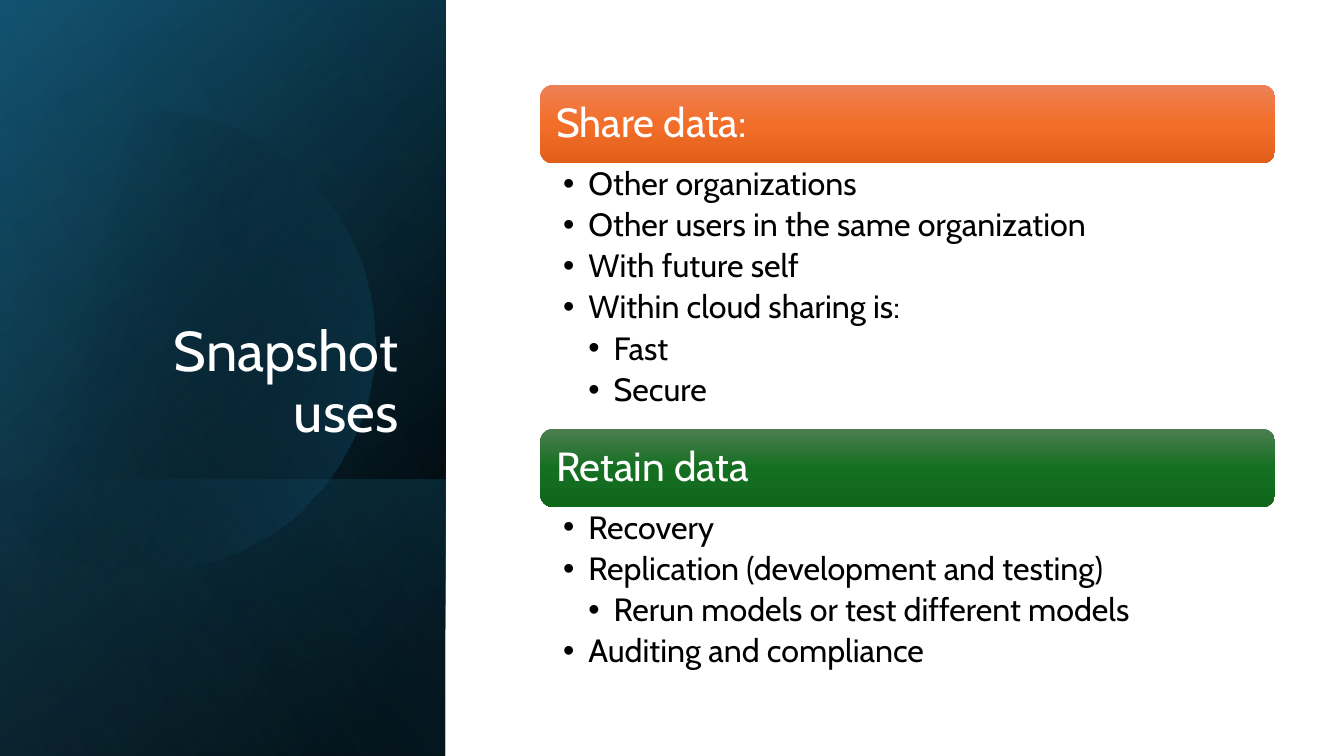
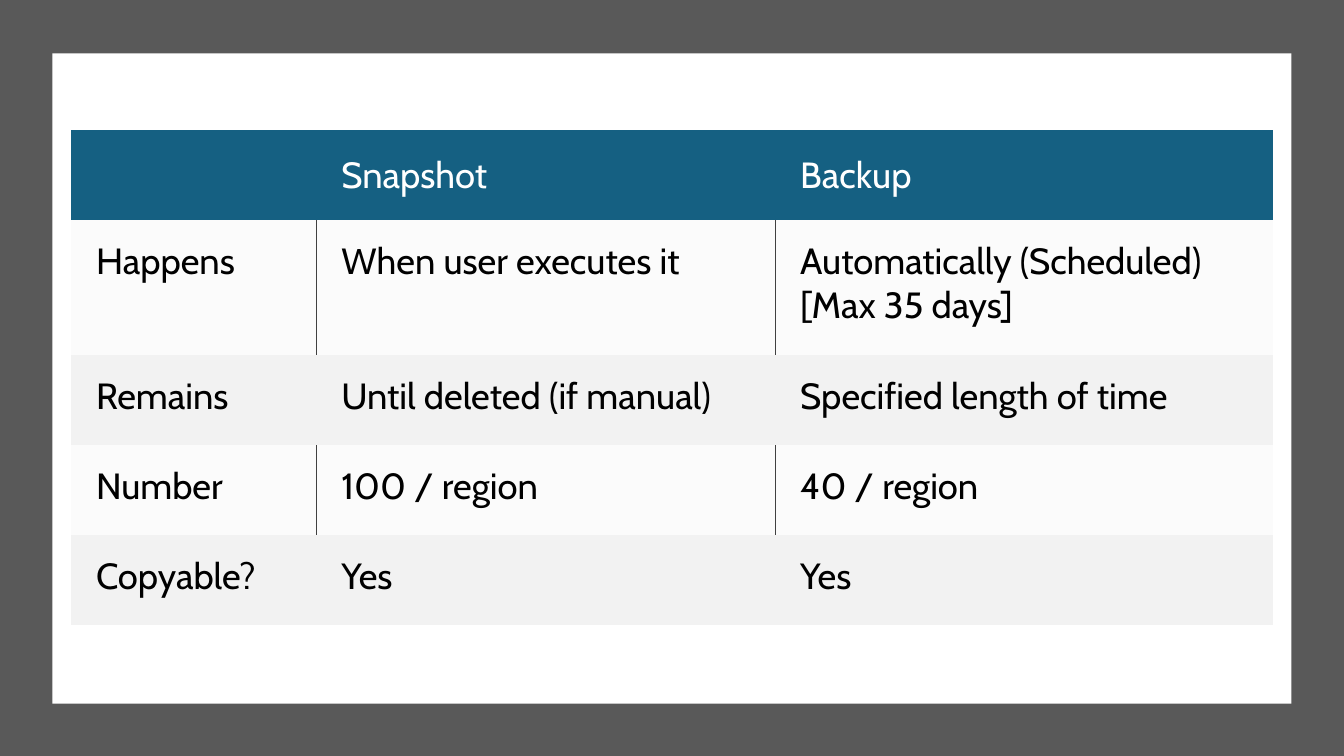
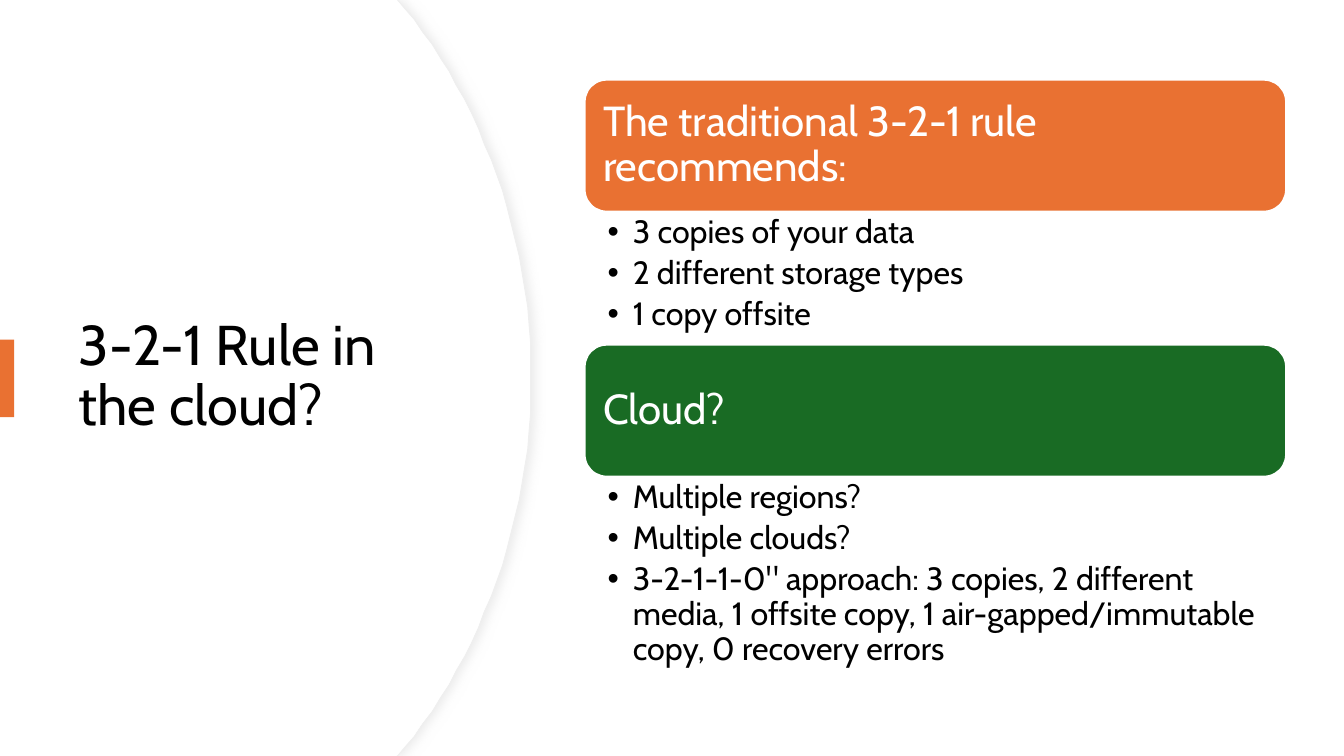
from lxml.etree import SubElement
from pptx import Presentation
from pptx.dml.color import RGBColor
from pptx.enum.shapes import MSO_SHAPE
from pptx.enum.text import MSO_ANCHOR, MSO_AUTO_SIZE, PP_ALIGN
from pptx.oxml import parse_xml
from pptx.oxml.ns import nsdecls, qn
from pptx.util import Pt

FONT = "Cabin"
WIDE, HIGH = 960, 540
PANEL = 318.2
INK = {
    "white": "FFFFFF", "black": "000000", "blue": "156082", "navy": "104862",
    "sky": "46B1E1", "orange": "E97132", "green": "196B24", "frame": "595959",
    "pale": "FBFBFB", "band": "F2F2F2", "rule": "404040", "edge": "EFEFEF",
    "shade": "D9D9D9", "orange1": "ED8257", "orange2": "F26E29",
    "orange3": "E25F1A", "green1": "4D7E50", "green2": "156F21",
    "green3": "0F661B",
}

USES = {
    "title": "Snapshot uses", "box": (46.1, 132.5, 245.5, 188.6),
    "left": 385.9, "top": 60.5, "width": 524.9, "bar": 56.2, "size": 29,
    "line": None,
    "parts": [
        ("Share data:", ["orange1", "orange2", "orange3"], 189.4,
         [(1, "Other organizations"),
          (1, "Other users in the same organization"),
          (1, "With future self"),
          (1, "Within cloud sharing is:"),
          (2, "Fast"),
          (2, "Secure")]),
        ("Retain data", ["green1", "green2", "green3"], 125.3,
         [(1, "Recovery"),
          (1, "Replication (development and testing)"),
          (2, "Rerun models or test different models"),
          (1, "Auditing and compliance")]),
    ],
}
RULE = {
    "title": "3-2-1 Rule in the cloud?", "box": (49, 91.4, 283.7, 356.4),
    "left": 417.6, "top": 56.9, "width": 501.1, "bar": 94.3, "size": 30,
    "line": "white",
    "parts": [
        ("The traditional 3-2-1 rule recommends:", ["orange"], 95,
         [(1, "3 copies of your data"),
          (1, "2 different storage types"),
          (1, "1 copy offsite")]),
        ("Cloud?", ["green"], 144,
         [(1, "Multiple regions?"),
          (1, "Multiple clouds?"),
          (1, "3-2-1-1-0\" approach: 3 copies, 2 different media, 1 offsite copy, "
              "1 air-gapped/immutable copy, 0 recovery errors")]),
    ],
}
ROWS = [
    ["", "Snapshot", "Backup"],
    ["Happens", "When user executes it", "Automatically (Scheduled)\n[Max 35 days]"],
    ["Remains", "Until deleted (if manual)", "Specified length of time"],
    ["Number", "100 / region", "40 / region"],
    ["Copyable?", "Yes", "Yes"],
]
COLS = [175.2, 327.8, 355.9]
TALL = [64.3, 96.5, 64.3, 64.3, 64.3]

FULL = (0, 0, PANEL, HIGH)
FOOT = (0, 342.7, PANEL, 197.3)
BASE = (FULL, 50, [(8, "black", 100), (100, "navy", 100)])
TINT = (FULL, 30, [(0, "black", 0), (99, "blue", 46)])
DUSK = (FOOT, 130, [(2, "blue", 29), (100, "black", 30)])
GLOW = (FULL, 120, [(0, "black", 0), (99, "sky", 11)])
MOON = [
    (107.3, 79.2),
    (177.1, 80.6, 241.2, 127.4, 261.4, 198),
    (286.6, 285.8, 236.2, 376.6, 149, 401.8),
    (94.3, 417.6, 38.2, 403.9, -2.2, 370.1),
    (-10.8, 362.2), (-10.8, 126), (0, 115.9),
    (16.6, 102.2, 36, 91.4, 57.6, 85.7),
    (74.2, 81.4, 90.7, 79.2, 107.3, 79.2),
]
ARC = [
    (0, 0), (283.7, 0), (288.7, 5.8),
    (344.2, 73.4, 379.4, 167, 379.4, 270),
    (379.4, 373, 344.2, 466.6, 288.7, 534.2),
    (283.7, 540), (0, 540),
]


def tone(name):
    return RGBColor.from_string(INK[name])


def place(shape, box):
    shape.left, shape.top, shape.width, shape.height = map(Pt, box)


def paint(shape, fill=None, line=None, width=0.75):
    shape.shadow.inherit = False
    if fill:
        shape.fill.solid()
        shape.fill.fore_color.rgb = tone(fill)
    if line:
        shape.line.color.rgb = tone(line)
        shape.line.width = Pt(width)
    else:
        shape.line.fill.background()


def blend(shape, angle, stops):
    shape.fill.background()
    marks = "".join(
        f'<a:gs pos="{pos * 1000}"><a:srgbClr val="{INK[name]}">'
        f'<a:alpha val="{alpha * 1000}"/></a:srgbClr></a:gs>'
        for pos, name, alpha in stops)
    grad = parse_xml(
        f'<a:gradFill {nsdecls("a")}><a:gsLst>{marks}</a:gsLst>'
        f'<a:lin ang="{angle * 60000}" scaled="0"/></a:gradFill>')
    props = shape.element.spPr
    props.replace(props.find(qn("a:noFill")), grad)


def block(slide, box, fill=None, line=None, width=0.75, kind=MSO_SHAPE.RECTANGLE):
    shape = slide.shapes.add_shape(kind, *map(Pt, box))
    paint(shape, fill, line, width)
    return shape


def panel(slide, box, angle, stops):
    x, y, w, h = box
    shape = block(slide, (x + (w - h) / 2, y + (h - w) / 2, h, w))
    shape.rotation = 90
    shape.element.spPr.xfrm.set("flipH", "1")
    blend(shape, angle, stops)


def trace(points, steps=24):
    spots = [points[0]]
    for part in points[1:]:
        if len(part) == 2:
            spots.append(part)
            continue
        knots = [spots[-1], part[:2], part[2:4], part[4:]]
        for step in range(1, steps + 1):
            t = step / steps
            mix = ((1 - t) ** 3, 3 * t * (1 - t) ** 2, 3 * t * t * (1 - t), t ** 3)
            spots.append(tuple(sum(m * k[i] for m, k in zip(mix, knots))
                               for i in (0, 1)))
    return spots


def outline(slide, points):
    first, *rest = trace(points)
    pen = slide.shapes.build_freeform(*first, scale=Pt(1))
    pen.add_line_segments(rest, close=True)
    return pen.convert_to_shape()


def write(par, text, size, color):
    run = par.add_run()
    run.text = text
    run.font.name, run.font.size = FONT, Pt(size)
    run.font.color.rgb = tone(color)


def inset(item, left, top, right, bottom):
    item.margin_left, item.margin_top = Pt(left), Pt(top)
    item.margin_right, item.margin_bottom = Pt(right), Pt(bottom)


def head(slide, data, color, align, anchor):
    title = slide.shapes.title
    place(title, data["box"])
    frame = title.text_frame
    frame.word_wrap, frame.auto_size = True, MSO_AUTO_SIZE.NONE
    frame.vertical_anchor = anchor
    par = frame.paragraphs[0]
    par.alignment, par.line_spacing = align, 0.9
    write(par, data["title"], 40, color)
    title.element.getparent().append(title.element)


def bar(slide, box, text, shades, size, line):
    shape = block(slide, box, shades[0], line, 1.5, MSO_SHAPE.ROUNDED_RECTANGLE)
    if len(shades) > 1:
        blend(shape, 90, [(i * 50, name, 100) for i, name in enumerate(shades)])
    frame = shape.text_frame
    frame.word_wrap, frame.vertical_anchor = True, MSO_ANCHOR.MIDDLE
    inset(frame, 8.6, 8.6, 8.6, 8.6)
    par = frame.paragraphs[0]
    par.alignment, par.line_spacing = PP_ALIGN.LEFT, 0.9
    write(par, text, size, "white")


def points(body, box, items):
    place(body, box)
    frame = body.text_frame
    frame.word_wrap, frame.auto_size = True, MSO_AUTO_SIZE.NONE
    frame.vertical_anchor = MSO_ANCHOR.TOP
    inset(frame, 16.4, 2.9, 16.4, 2.9)
    for i, (level, text) in enumerate(items):
        par = frame.add_paragraph() if i else frame.paragraphs[0]
        par.level, par.line_spacing = level, 0.9
        par.space_before, par.space_after = Pt(0), Pt(4.6)
        props = par._p.get_or_add_pPr()
        props.set("marL", str(Pt(18 * level)))
        props.set("indent", str(-Pt(18)))
        SubElement(props, qn("a:buChar")).set("char", "•")
        write(par, text, 23, "black")


def stack(slide, data):
    left, top, width = data["left"], data["top"], data["width"]
    bodies = [ph for ph in slide.placeholders if ph.placeholder_format.idx]
    for body, (text, shades, high, items) in zip(bodies, data["parts"]):
        bar(slide, (left, top, width, data["bar"]), text, shades,
            data["size"], data["line"])
        top += data["bar"]
        points(body, (left, top, width, high), items)
        top += high


def border(cell, side):
    edge = parse_xml(
        f'<a:{side} {nsdecls("a")} w="6350"><a:solidFill>'
        f'<a:srgbClr val="{INK["rule"]}"/></a:solidFill></a:{side}>')
    cell._tc.get_or_add_tcPr().insert(0, edge)


def grid(slide):
    table = slide.shapes.add_table(
        len(ROWS), len(COLS), Pt(50.6), Pt(92.9), Pt(sum(COLS)), Pt(sum(TALL))).table
    style = table._tbl.tblPr.find(qn("a:tableStyleId"))
    style.text = "{2D5ABB26-0587-4C30-8999-92F81FD0307C}"
    for col, width in zip(table.columns, COLS):
        col.width = Pt(width)
    for r, (row, high) in enumerate(zip(ROWS, TALL)):
        table.rows[r].height = Pt(high)
        fill = "blue" if r == 0 else "pale" if r % 2 else "band"
        for c, text in enumerate(row):
            cell = table.cell(r, c)
            cell.fill.solid()
            cell.fill.fore_color.rgb = tone(fill)
            inset(cell, 18, 13.7, 13.7, 13.7)
            cell.vertical_anchor = MSO_ANCHOR.TOP if r else MSO_ANCHOR.MIDDLE
            for i, line in enumerate(text.split("\n") if text else []):
                frame = cell.text_frame
                par = frame.add_paragraph() if i else frame.paragraphs[0]
                write(par, line, 26, "black" if r else "white")
            if r % 2 and c < len(COLS) - 1:
                border(cell, "lnR")
            if r % 2 and c:
                border(cell, "lnL")


def uses(slide):
    for part in (BASE, TINT, DUSK):
        panel(slide, *part)
    moon = outline(slide, MOON)
    paint(moon)
    blend(moon, 14, [(29, "black", 0), (100, "blue", 43)])
    panel(slide, *GLOW)
    head(slide, USES, "white", PP_ALIGN.RIGHT, MSO_ANCHOR.BOTTOM)
    stack(slide, USES)


def compare(slide):
    block(slide, (0, 0, WIDE, HIGH), "frame")
    block(slide, (37.4, 38.2, 885, 464.4), "white")
    grid(slide)


def rule(slide):
    rim = outline(slide, ARC)
    paint(rim, "white", "edge")
    glow = parse_xml(
        f'<a:outerShdw {nsdecls("a")} blurRad="{Pt(7)}" dist="{Pt(3)}" dir="0">'
        f'<a:srgbClr val="{INK["shade"]}"><a:alpha val="50000"/></a:srgbClr>'
        '</a:outerShdw>')
    rim.element.spPr.find(qn("a:effectLst")).append(glow)
    inner = outline(slide, ARC)
    paint(inner, "white")
    inner.left = -Pt(0.7)
    head(slide, RULE, "black", PP_ALIGN.LEFT, MSO_ANCHOR.MIDDLE)
    block(slide, (0, 242.6, 10.1, 55.4), "orange")
    stack(slide, RULE)


def main():
    deck = Presentation()
    deck.slide_width, deck.slide_height = Pt(WIDE), Pt(HIGH)
    for build, layout in ((uses, 3), (compare, 6), (rule, 3)):
        build(deck.slides.add_slide(deck.slide_layouts[layout]))
    deck.save("out.pptx")


if __name__ == "__main__":
    main()
